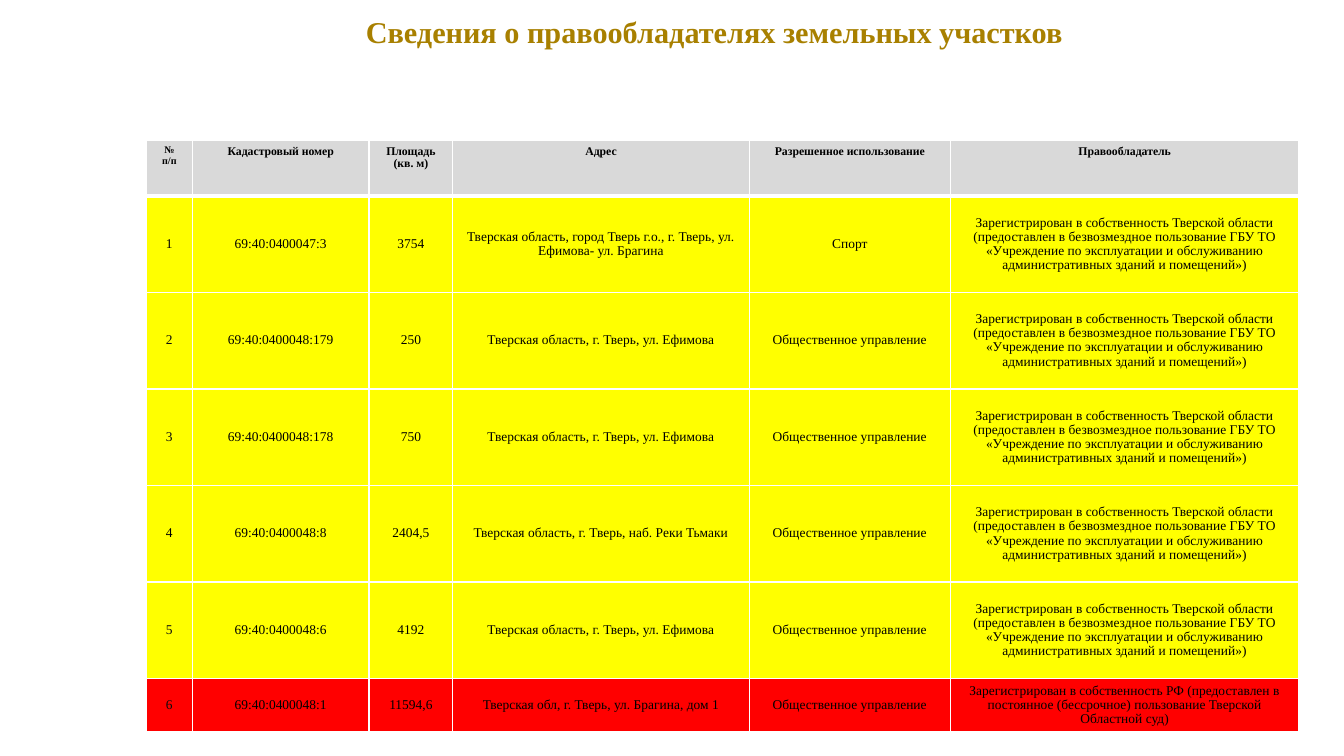
from lxml.etree import SubElement
from pptx import Presentation
from pptx.dml.color import RGBColor
from pptx.enum.text import MSO_ANCHOR, MSO_AUTO_SIZE, PP_ALIGN
from pptx.oxml.ns import qn
from pptx.util import Inches, Pt

COLORS = {"title": "A88000", "text": "000000", "number": "0D0D0D", "border": "FFFFFF",
          "header": "D9D9D9", "regional": "FFFF00", "federal": "FF0000"}
FONT = "Times New Roman"
TITLE = "Сведения о правообладателях земельных участков"
HEADERS = ["№ п/п", "Кадастровый номер", "Площадь\n(кв. м)", "Адрес",
           "Разрешенное использование", "Правообладатель"]
REGION = ("Зарегистрирован в собственность Тверской области (предоставлен в безвозмездное "
          "пользование ГБУ ТО «Учреждение по эксплуатации и обслуживанию "
          "административных зданий и помещений»)")
FEDERATION = ("Зарегистрирован в собственность РФ (предоставлен в постоянное (бессрочное) "
              "пользование Тверской Областной суд)")
EFIMOVA = "Тверская область, г. Тверь, ул. Ефимова"
OFFICE = "Общественное управление"
PLOTS = [
    ("69:40:0400047:3", "3754",
     "Тверская область, город Тверь г.о., г. Тверь, ул. Ефимова- ул. Брагина", "Спорт", REGION),
    ("69:40:0400048:179", "250", EFIMOVA, OFFICE, REGION),
    ("69:40:0400048:178", "750", EFIMOVA, OFFICE, REGION),
    ("69:40:0400048:8", "2404,5", "Тверская область, г. Тверь, наб. Реки Тьмаки", OFFICE, REGION),
    ("69:40:0400048:6", "4192", EFIMOVA, OFFICE, REGION),
    ("69:40:0400048:1", "11594,6", "Тверская обл, г. Тверь, ул. Брагина, дом 1", OFFICE, FEDERATION),
]
COL_WIDTHS = [0.38, 1.46, 0.69, 2.45, 1.66, 2.88]
ROW_HEIGHTS = [0.46] + [0.8] * 5 + [0.44]
WIDE_INSETS = (0.11, 0.04)
TIGHT_INSETS = (0.07, 0)


def set_attrs(target, values):
    for name, value in values.items():
        setattr(target, name, value)


def write_text(tf, text, size, color, bold, spacing=1.0):
    tf.text = text
    for p in tf.paragraphs:
        set_attrs(p, {"alignment": PP_ALIGN.CENTER, "line_spacing": spacing})
        for r in p.runs:
            set_attrs(r.font, {"name": FONT, "size": Pt(size), "bold": bold})
            r.font.color.rgb = RGBColor.from_string(COLORS[color])


def add_borders(cell, bottom):
    """Must run before the cell fill is set, as lines come first in tcPr."""
    tcPr = cell._tc.get_or_add_tcPr()
    for side, width in {"L": 1, "R": 1, "T": 1, "B": bottom}.items():
        ln = SubElement(tcPr, qn(f"a:ln{side}"), w=str(Pt(width)))
        fill = SubElement(ln, qn("a:solidFill"))
        SubElement(fill, qn("a:srgbClr"), val=COLORS["border"])


def fill_cell(cell, text, fill, size, color="text", header=False, insets=WIDE_INSETS):
    add_borders(cell, 3 if header else 1)
    cell.fill.solid()
    cell.fill.fore_color.rgb = RGBColor.from_string(COLORS[fill])
    side, edge = map(Inches, insets)
    set_attrs(cell, {"margin_left": side, "margin_right": side,
                     "margin_top": edge, "margin_bottom": edge,
                     "vertical_anchor": MSO_ANCHOR.TOP if header else MSO_ANCHOR.MIDDLE})
    write_text(cell.text_frame, text, size, color, header, 0.95)


def add_title(s, left, top, width, height):
    sp = s.shapes.title
    set_attrs(sp, {"left": Inches(left), "top": Inches(top),
                   "width": Inches(width), "height": Inches(height)})
    set_attrs(sp.text_frame, {"word_wrap": True, "auto_size": MSO_AUTO_SIZE.NONE,
                              "vertical_anchor": MSO_ANCHOR.TOP})
    write_text(sp.text_frame, TITLE, 18, "title", True)


def add_plots_table(s, left, top, width, height):
    frame = s.shapes.add_table(len(PLOTS) + 1, len(HEADERS), Inches(left), Inches(top),
                               Inches(width), Inches(height))
    table = frame.table
    for col, share in zip(table.columns, COL_WIDTHS):
        col.width = Inches(width * share / sum(COL_WIDTHS))
    for row, share in zip(table.rows, ROW_HEIGHTS):
        row.height = Inches(height * share / sum(ROW_HEIGHTS))
    for c, text in enumerate(HEADERS):
        fill_cell(table.cell(0, c), text, "header", 7 if c else 6, header=True)
    for number, plot in enumerate(PLOTS, 1):
        fill = "federal" if plot[-1] == FEDERATION else "regional"
        for c, text in enumerate((str(number), *plot)):
            color = "number" if c == 0 and number % 3 != 1 else "text"
            insets = TIGHT_INSETS if c in (2, 3, 4) else WIDE_INSETS
            fill_cell(table.cell(number, c), text, fill, 8, color, insets=insets)


def main():
    prs = Presentation()
    set_attrs(prs, {"slide_width": Inches(11.11), "slide_height": Inches(6.25)})
    s = prs.slides.add_slide(prs.slide_layouts[5])
    add_title(s, 0.92, 0.06, 9.97, 0.7)
    add_plots_table(s, 1.21, 1.16, 9.53, 4.89)
    prs.save("out.pptx")


if __name__ == "__main__":
    main()
